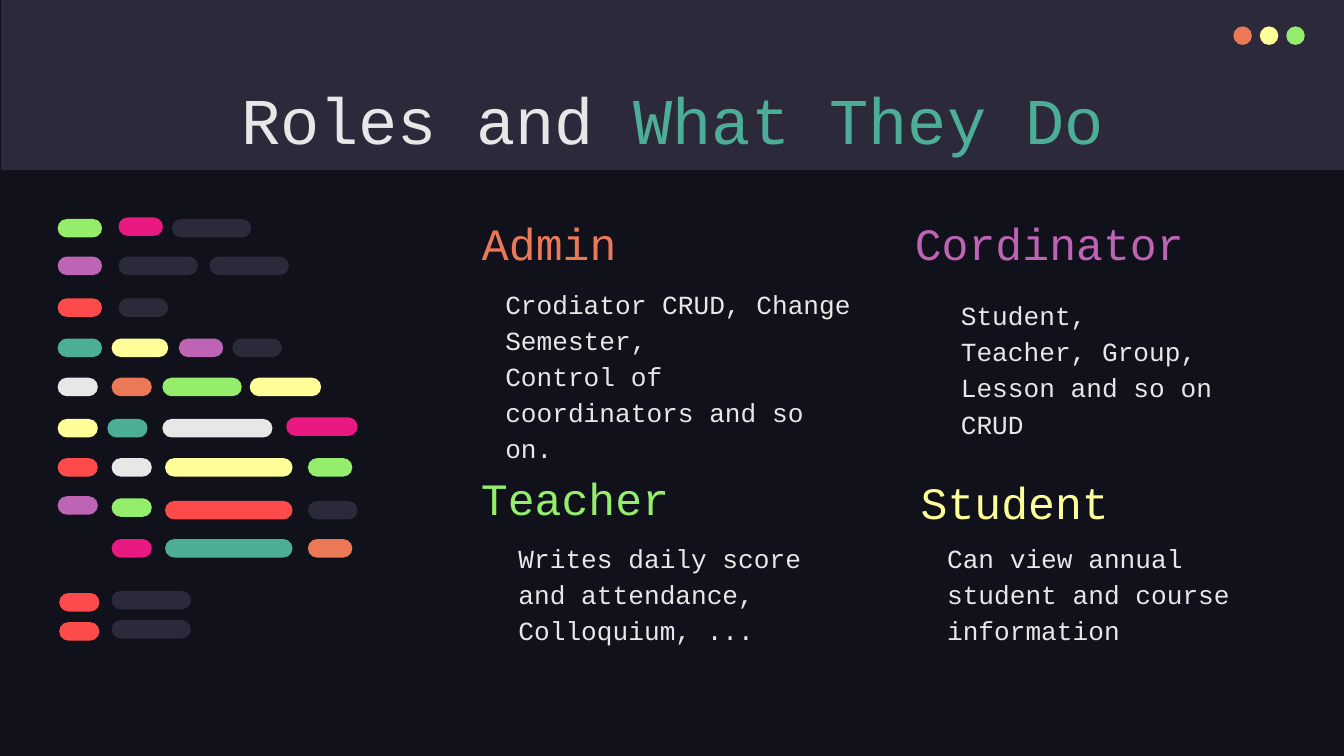
from pptx import Presentation
from pptx.dml.color import RGBColor
from pptx.enum.shapes import MSO_SHAPE as Shape
from pptx.enum.text import MSO_ANCHOR as Anchor, PP_ALIGN as Align
from pptx.util import Cm, Pt

COLORS = {
    "night": "10111A", "slate": "2C293A", "white": "E7E7E7",
    "orange": "EC7955", "yellow": "FFFF99", "green": "94EE6B",
    "teal": "4CAE97", "purple": "BD64B5", "pink": "E81A81", "red": "FD4A4A",
}

# Row top, then pills as (left, width, color, optional vertical nudge)
CODE_ROWS = [
    (4.14, [(1.09, 0.84, "green"), (2.24, 0.84, "pink", -0.03), (3.25, 1.5, "slate")]),
    (4.85, [(1.09, 0.84, "purple"), (2.24, 1.5, "slate"), (3.96, 1.5, "slate")]),
    (5.64, [(1.09, 0.84, "red"), (2.24, 0.94, "slate")]),
    (6.4, [(1.09, 0.84, "teal"), (2.11, 1.07, "yellow"),
           (3.38, 0.84, "purple"), (4.39, 0.94, "slate")]),
    (7.14, [(1.09, 0.76, "white"), (2.11, 0.76, "orange"),
            (3.07, 1.5, "green"), (4.72, 1.35, "yellow")]),
    (7.92, [(1.09, 0.76, "yellow"), (2.03, 0.76, "teal"),
            (3.07, 2.08, "white"), (5.41, 1.35, "pink", -0.03)]),
    (8.66, [(1.09, 0.76, "red"), (2.11, 0.76, "white"),
            (3.12, 2.41, "yellow"), (5.82, 0.84, "green")]),
    (9.42, [(1.09, 0.76, "purple", -0.04), (2.11, 0.76, "green"),
            (3.12, 2.41, "red", 0.05), (5.82, 0.94, "slate", 0.05)]),
    (10.19, [(2.11, 0.76, "pink"), (3.12, 2.41, "teal"), (5.82, 0.84, "orange")]),
    (11.21, [(1.12, 0.76, "red"), (2.11, 1.5, "slate", -0.04)]),
    (11.76, [(1.12, 0.76, "red"), (2.11, 1.5, "slate", -0.04)]),
]

# Heading, its color and box, then the description lines and their box
ROLES = [
    ("Admin", "orange", (8.86, 3.94, 5.49, 1.4),
     ["Crodiator CRUD, Change Semester,", "Control of coordinators and so on."],
     (9.3, 5.11, 7.09, 3.15)),
    ("Cordinator", "purple", (17.04, 3.94, 5.97, 1.4),
     ["Student, Teacher, Group, Lesson and so on CRUD"],
     (17.91, 5.33, 5.49, 2.31)),
    ("Teacher", "green", (8.84, 8.76, 5.49, 1.4),
     ["Writes daily score and attendance, Colloquium, ..."],
     (9.55, 9.91, 6.02, 2.31)),
    ("Student", "yellow", (17.15, 8.84, 5.49, 1.4),
     ["Can view annual student and course information"],
     (17.65, 9.91, 6.02, 2.31)),
]


class SlideBuilder:
    font = "Courier New"
    inset = 0.25

    def __init__(self, page):
        self.page = page
        page.background.fill.solid()
        page.background.fill.fore_color.rgb = self.color("night")

    @staticmethod
    def color(name):
        return RGBColor.from_string(COLORS[name])

    def shape(self, kind, box, color, parent=None):
        item = (parent or self.page).shapes.add_shape(kind, *map(Cm, box))
        item.shadow.inherit = False
        item.fill.solid()
        item.fill.fore_color.rgb = self.color(color)
        item.line.fill.background()
        return item

    def pill(self, box, color, parent):
        self.shape(Shape.ROUNDED_RECTANGLE, box, color, parent).adjustments[0] = 0.5

    def fill_frame(self, frame, lines, size, anchor=Anchor.TOP, **para_format):
        """Each line is a list of (text, color) spans."""
        frame_format = {"word_wrap": True, "vertical_anchor": anchor}
        frame_format.update({f"margin_{side}": Cm(self.inset)
                             for side in ("left", "top", "right", "bottom")})
        for key, value in frame_format.items():
            setattr(frame, key, value)
        for index, spans in enumerate(lines):
            para = frame.add_paragraph() if index else frame.paragraphs[0]
            for key, value in para_format.items():
                setattr(para, key, value)
            for text, color in spans:
                span = para.add_run()
                span.text = text
                for key, value in {"name": self.font, "size": Pt(size)}.items():
                    setattr(span.font, key, value)
                span.font.color.rgb = self.color(color)

    def title(self, box, spans):
        title = self.page.shapes.title
        for key, value in zip(("left", "top", "width", "height"), box):
            setattr(title, key, Cm(value))
        self.fill_frame(title.text_frame, [spans], 35, alignment=Align.CENTER)
        # Bring the title in front of the header band
        title.element.getparent().append(title.element)

    def text(self, box, lines, color, size, anchor=Anchor.TOP):
        frame = self.page.shapes.add_textbox(*map(Cm, box)).text_frame
        self.fill_frame(frame, [[(line, color)] for line in lines], size, anchor,
                        line_spacing=1.15)


def main():
    deck = Presentation()
    deck.slide_width, deck.slide_height = Cm(25.4), Cm(14.29)
    builder = SlideBuilder(deck.slides.add_slide(deck.slide_layouts[5]))

    # Header band with window dots
    builder.shape(Shape.RECTANGLE, (0.02, 0, 25.4, 3.22), "slate")
    dots = builder.page.shapes.add_group_shape()
    for index, color in enumerate(("orange", "yellow", "green")):
        builder.shape(Shape.OVAL, (23.31 + 0.5 * index, 0.5, 0.35, 0.35), color, dots)
    builder.title((2.01, 1.24, 21.41, 1.6),
                  [("Roles and ", "white"), ("What They Do", "teal")])

    # Roles
    for name, color, name_box, duties, duties_box in ROLES:
        builder.text(duties_box, duties, "white", 14)
        builder.text(name_box, [name], color, 24, Anchor.BOTTOM)

    # Code lines drawn as pills
    code = builder.page.shapes.add_group_shape()
    for top, pills in CODE_ROWS:
        for left, width, color, *nudge in pills:
            builder.pill((left, top + sum(nudge), width, 0.35), color, code)

    deck.save("out.pptx")


if __name__ == "__main__":
    main()
